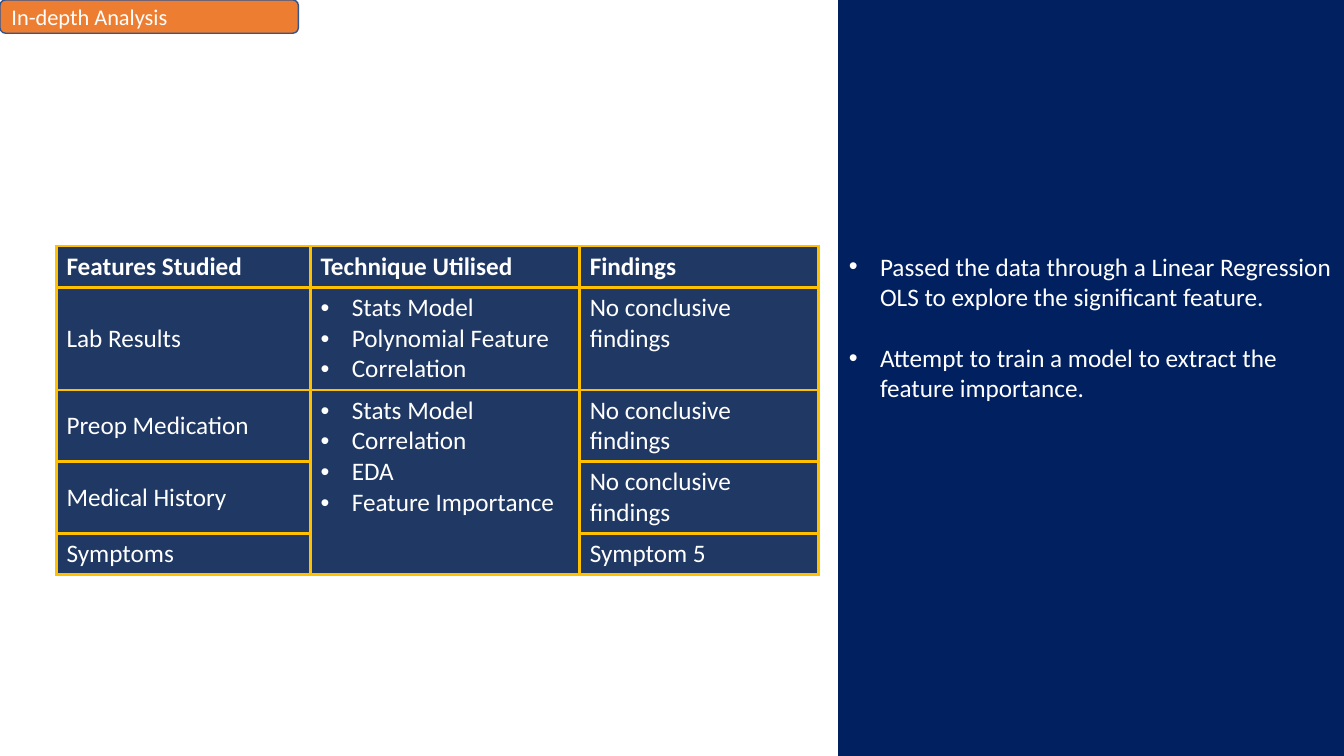
import pptx
import pptx.util
import pptx.dml.color
import pptx.enum.shapes
import pptx.enum.text
import pptx.oxml
import pptx.oxml.ns

Inches, Pt = pptx.util.Inches, pptx.util.Pt
Color = pptx.dml.color.RGBColor
Shape = pptx.enum.shapes.MSO_SHAPE
Anchor = pptx.enum.text.MSO_ANCHOR
Align = pptx.enum.text.PP_ALIGN

WHITE = Color(0xFF, 0xFF, 0xFF)
ORANGE = Color(0xED, 0x7D, 0x31)
EDGE = Color(0x32, 0x54, 0x91)
NAVY = Color(0x00, 0x20, 0x60)
SLATE = Color(0x20, 0x38, 0x64)
GOLD = Color(0xFF, 0xC0, 0x00)
NS = pptx.oxml.ns.nsdecls("a")


def write(frame, lines, bullet=False, gap=0, size=18, bold=False):
    font = {"name": "Calibri", "size": Pt(size), "bold": bold}
    for i, line in enumerate(lines):
        para = frame.paragraphs[0] if i == 0 else frame.add_paragraph()
        para.alignment = Align.LEFT
        if i and gap:
            para.space_before = Pt(gap)
        run = para.add_run()
        run.text = line
        for key, value in font.items():
            setattr(run.font, key, value)
        run.font.color.rgb = WHITE
        if bullet:
            props = para._p.get_or_add_pPr()
            props.set("marL", str(Inches(0.31)))
            props.set("indent", str(-Inches(0.31)))
            for xml in (f'<a:buFont {NS} typeface="Arial"/>', f'<a:buChar {NS} char="•"/>'):
                props.append(pptx.oxml.parse_xml(xml))


def block(kind, box, fill, edge):
    shape = slide.shapes.add_shape(kind, *map(Inches, box))
    shape.shadow.inherit = False
    shape.fill.solid()
    shape.fill.fore_color.rgb = fill
    shape.line.color.rgb = edge
    shape.line.width = Pt(1)
    return shape


deck = pptx.Presentation()
deck.slide_width, deck.slide_height = Inches(13.33), Inches(7.5)
slide = deck.slides.add_slide(deck.slide_layouts[6])

# Heading tag
tag = block(Shape.ROUNDED_RECTANGLE, (0, 0, 2.96, 0.33), ORANGE, EDGE)
tag.text_frame.vertical_anchor = Anchor.MIDDLE
write(tag.text_frame, ["In-depth Analysis"], size=16)

# Table of features
NONE = ["No conclusive findings"]
rows = [
    (0.41, ["Features Studied"], ["Technique Utilised"], ["Findings"]),
    (1.02, ["Lab Results"], ["Stats Model", "Polynomial Feature", "Correlation"], NONE),
    (0.71, ["Preop Medication"],
     ["Stats Model", "Correlation", "EDA", "Feature Importance"], NONE),
    (0.71, ["Medical History"], [], NONE),
    (0.41, ["Symptoms"], [], ["Symptom 5"]),
]
widths = [2.52, 2.67, 2.37]
high = sum(row[0] for row in rows)
table = slide.shapes.add_table(
    len(rows), len(widths), Inches(0.56), Inches(2.44), Inches(sum(widths)), Inches(high)
).table
for col, width in zip(table.columns, widths):
    col.width = Inches(width)
table.cell(2, 1).merge(table.cell(4, 1))

for r, (height, *texts) in enumerate(rows):
    table.rows[r].height = Inches(height)
    for c, lines in enumerate(texts):
        cell = table.cell(r, c)
        cell.fill.solid()
        cell.fill.fore_color.rgb = SLATE
        cell.vertical_anchor = Anchor.MIDDLE if r and c == 0 else Anchor.TOP
        write(cell.text_frame, lines, bullet=r > 0 and c == 1, bold=r == 0)
        # Gold border on all four sides
        props = cell._tc.get_or_add_tcPr()
        for i, side in enumerate("LRTB"):
            props.insert(i, pptx.oxml.parse_xml(
                f'<a:ln{side} {NS} w="{Pt(2.25)}"><a:solidFill>'
                f'<a:srgbClr val="{GOLD}"/></a:solidFill></a:ln{side}>'))

# Side panel with notes
block(Shape.RECTANGLE, (8.32, 0, 5.01, 7.5), NAVY, NAVY)
notes = slide.shapes.add_textbox(Inches(8.32), Inches(2.44), Inches(5.01), Inches(1.92))
notes.text_frame.word_wrap = True
write(notes.text_frame, [
    "Passed the data through a Linear Regression OLS to explore the significant feature.",
    "Attempt to train a model to extract the feature importance.",
], bullet=True, gap=22)

deck.save("out.pptx")
